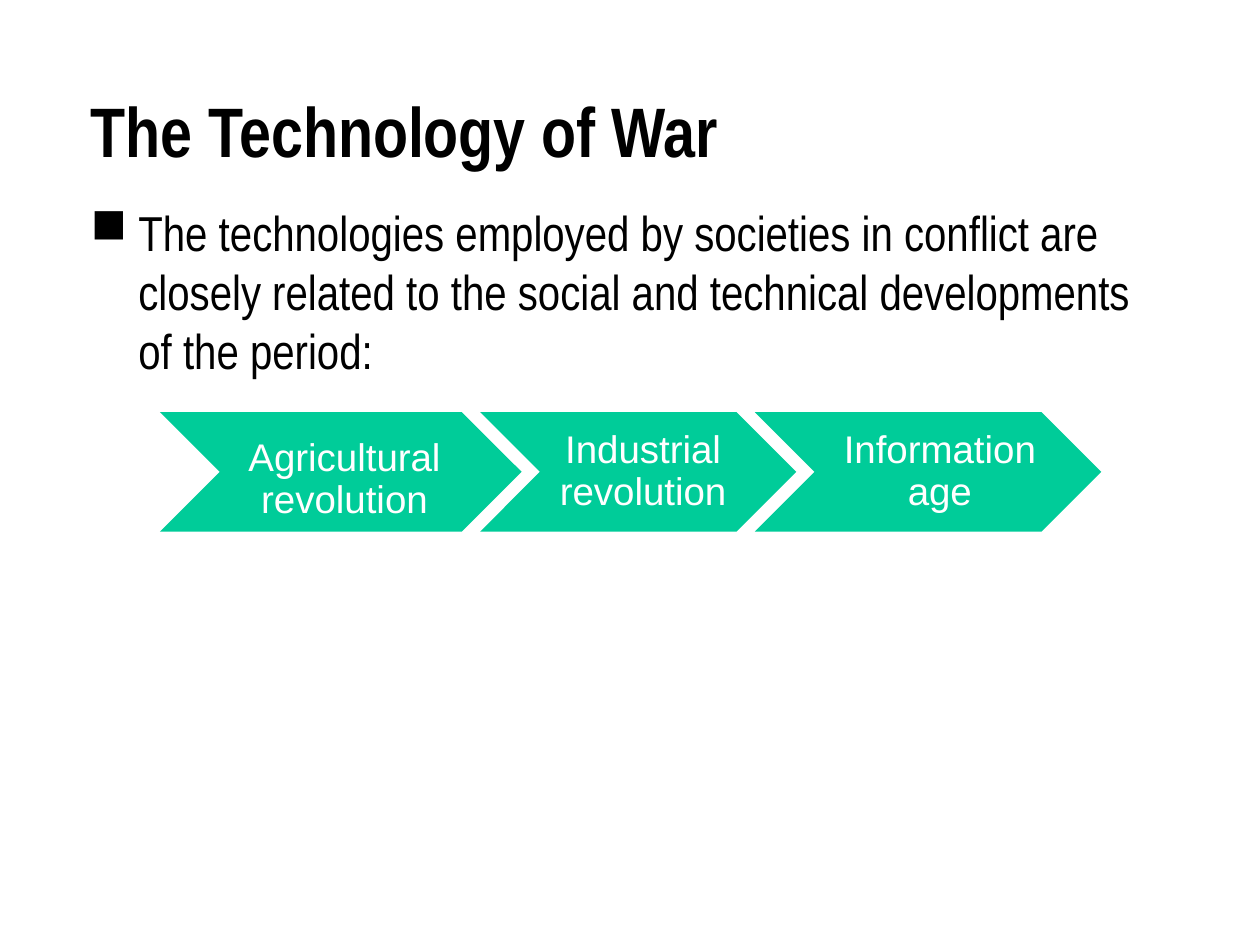
from lxml import etree
from pptx import Presentation
from pptx.dml.color import RGBColor
from pptx.enum.shapes import MSO_SHAPE
from pptx.enum.text import MSO_ANCHOR, PP_ALIGN
from pptx.oxml.ns import qn
from pptx.util import Pt

EMU_PER_PX = 9144  # 100 px to the inch
BLANK_LAYOUT = 6
CHEVRON = MSO_SHAPE.CHEVRON
TOP, MIDDLE, BOTTOM = MSO_ANCHOR.TOP, MSO_ANCHOR.MIDDLE, MSO_ANCHOR.BOTTOM
LEFT, CENTER = PP_ALIGN.LEFT, PP_ALIGN.CENTER

BLACK = RGBColor(0x00, 0x00, 0x00)
WHITE = RGBColor(0xFF, 0xFF, 0xFF)
GREEN = RGBColor(0x00, 0xCC, 0x99)


def px(length):
    return length * EMU_PER_PX


def write_text(shape, text, *, font, size, color, bold=False, align=LEFT,
               anchor=TOP, margins=(10, 5, 10, 5), line_spacing=None):
    frame = shape.text_frame
    frame.word_wrap = True
    frame.vertical_anchor = anchor
    (frame.margin_left, frame.margin_top,
     frame.margin_right, frame.margin_bottom) = map(px, margins)
    paragraph = frame.paragraphs[0]
    paragraph.alignment = align
    paragraph.line_spacing = line_spacing
    run = paragraph.add_run()
    run.text = text
    run.font.name = font
    run.font.size = Pt(size)
    run.font.bold = bold
    run.font.color.rgb = color
    return paragraph


class SlideBuilder:
    heading_font = "Arial Narrow"
    label_font = "Arial"

    def __init__(self, slide):
        self.slide = slide

    def text_box(self, box, text, shapes=None, **text_format):
        shapes = shapes or self.slide.shapes
        shape = shapes.add_textbox(*map(px, box))
        return write_text(shape, text, **text_format)

    def title(self, box, text):
        self.text_box(box, text, font=self.heading_font, size=40,
                      color=BLACK, bold=True, anchor=BOTTOM)

    def bullet(self, box, text, indent=38):
        paragraph = self.text_box(box, text, font=self.heading_font,
                                  size=28, color=BLACK)
        properties = paragraph._p.get_or_add_pPr()
        properties.set("marL", str(px(indent)))
        properties.set("indent", str(-px(indent)))
        etree.SubElement(properties, qn("a:buChar")).set("char", "■")

    def stage(self, chevron_box, label_box, text):
        shapes = self.slide.shapes.add_group_shape().shapes
        chevron = shapes.add_shape(CHEVRON, *map(px, chevron_box))
        chevron.shadow.inherit = False
        chevron.fill.solid()
        chevron.fill.fore_color.rgb = GREEN
        chevron.line.fill.background()
        self.text_box(label_box, text, shapes, font=self.label_font, size=22,
                      color=WHITE, align=CENTER, anchor=MIDDLE,
                      margins=(10, 3, 3, 3), line_spacing=0.9)


def main():
    presentation = Presentation()
    presentation.slide_width = px(1000)
    presentation.slide_height = px(750)
    layout = presentation.slide_layouts[BLANK_LAYOUT]
    builder = SlideBuilder(presentation.slides.add_slide(layout))

    # Title and statement
    builder.title((62, 8, 879, 133), "The Technology of War")
    builder.bullet((62, 156, 879, 156),
                   "The technologies employed by societies in conflict are "
                   "closely related to the social and technical developments "
                   "of the period:")

    # Chain of eras: chevron left and width, label box, label
    stages = [
        (127, 287, (184, 324, 172, 114), "Agricultural revolution"),
        (381, 251, (429, 327, 156, 95), "Industrial revolution"),
        (599, 275, (654, 327, 177, 95), "Information age"),
    ]
    for left, width, label_box, text in stages:
        builder.stage((left, 327, width, 95), label_box, text)

    presentation.save("out.pptx")


if __name__ == "__main__":
    main()
